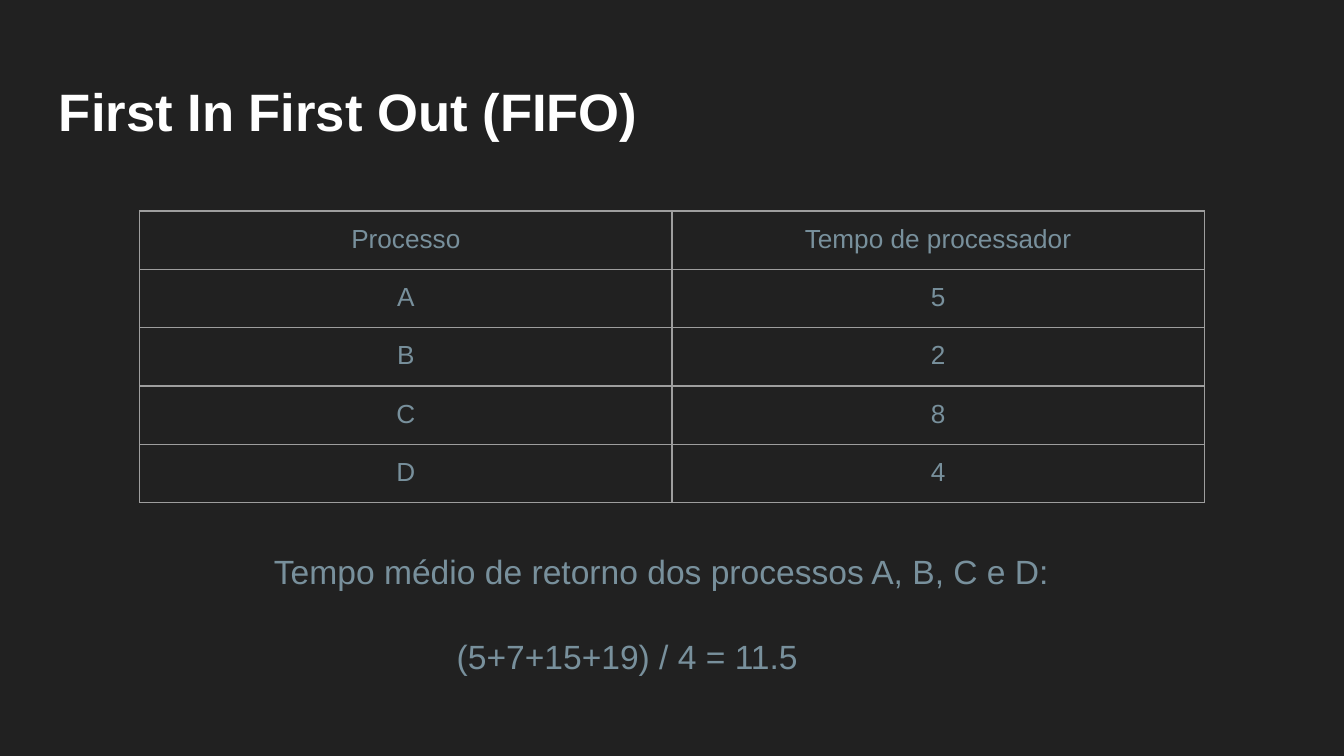
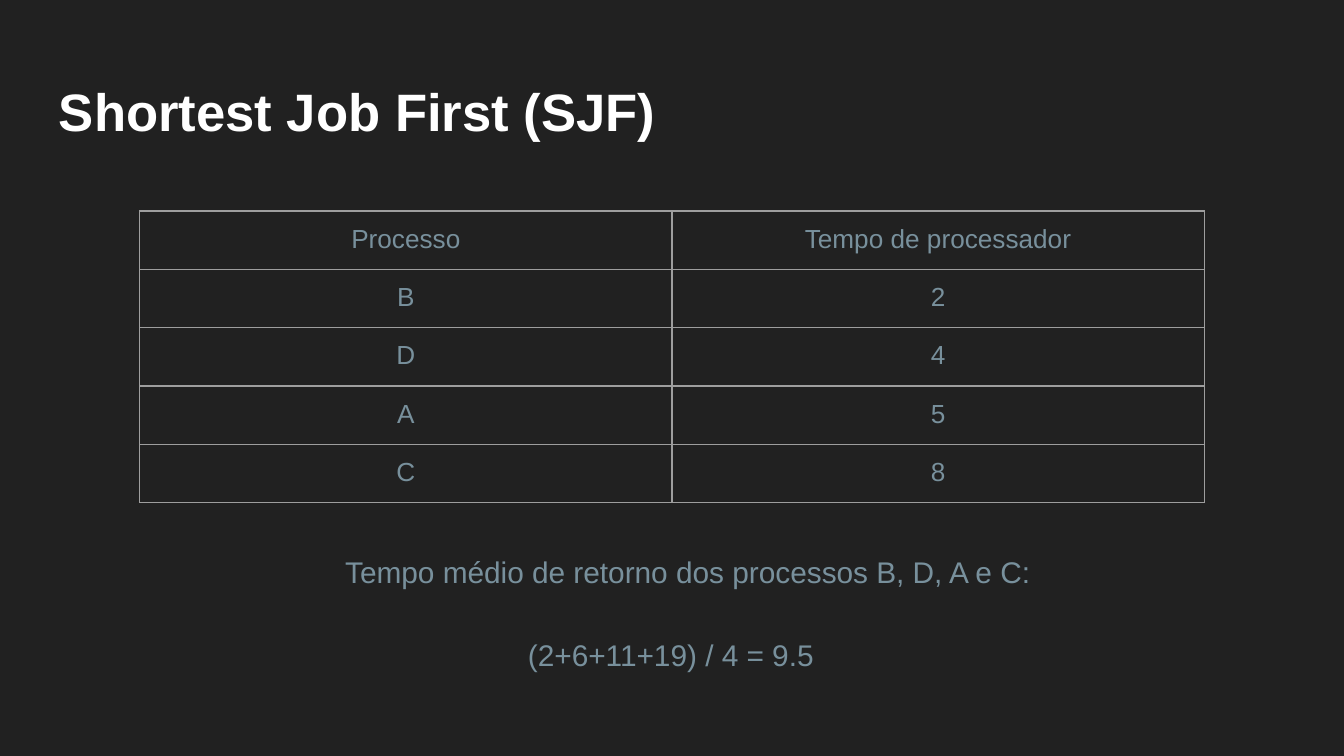
from lxml import etree
from pptx import Presentation
from pptx.dml.color import RGBColor
from pptx.enum.text import MSO_ANCHOR as ANCHOR, PP_ALIGN as ALIGN
from pptx.oxml.ns import qn
from pptx.util import Inches, Pt

BACKGROUND, WHITE, SLATE, BORDER = "212121", "FFFFFF", "78909C", "9E9E9E"
FONT = "Arial"
INSET = 0.1
HEADERS = ("Processo", "Tempo de processador")


def rgb(value):
    return RGBColor.from_string(value)


def add_run(p, text, size, color, bold=False):
    r = p.add_run()
    r.text = text
    r.font.name = FONT
    r.font.size = Pt(size)
    r.font.bold = bold
    r.font.color.rgb = rgb(color)


def set_insets(target):
    """Give a text frame or a table cell equal margins on all sides."""
    target.margin_left = target.margin_right = Inches(INSET)
    target.margin_top = target.margin_bottom = Inches(INSET)


def add_text(s, text, box, size, color=SLATE, bold=False, anchor=ANCHOR.TOP):
    tf = s.shapes.add_textbox(*map(Inches, box)).text_frame
    tf.word_wrap = True
    tf.vertical_anchor = anchor
    set_insets(tf)
    add_run(tf.paragraphs[0], text, size, color, bold)


def set_borders(cell, color, width):
    tc_pr = cell._tc.get_or_add_tcPr()
    for i, side in enumerate(("lnL", "lnR", "lnT", "lnB")):
        ln = etree.Element(qn(f"a:{side}"), w=str(Pt(width)))
        fill = etree.SubElement(ln, qn("a:solidFill"))
        etree.SubElement(fill, qn("a:srgbClr"), val=color)
        tc_pr.insert(i, ln)


def add_process_table(s, processes):
    rows = [HEADERS, *processes]
    col_width, row_height = Inches(3.96), Inches(0.42)
    table = s.shapes.add_table(
        len(rows), len(HEADERS), Inches(1.04), Inches(1.57),
        col_width * len(HEADERS), row_height * len(rows)).table
    table.first_row = table.horz_banding = False
    for i, row in enumerate(rows):
        for j, value in enumerate(row):
            cell = table.cell(i, j)
            cell.fill.background()
            set_insets(cell)
            set_borders(cell, BORDER, 0.75)
            p = cell.text_frame.paragraphs[0]
            p.alignment = ALIGN.CENTER
            add_run(p, str(value), 14, SLATE)


def add_algorithm_slide(prs, title, processes):
    s = prs.slides.add_slide(prs.slide_layouts[6])
    s.background.fill.solid()
    s.background.fill.fore_color.rgb = rgb(BACKGROUND)
    add_text(s, title, (0.34, 0.49, 9.32, 0.63), 28.2, WHITE, bold=True)
    add_process_table(s, processes)
    return s


def add_average(s, label, formula, label_at, formula_at, size):
    add_text(s, label, (*label_at, 7.36, 0.63), size)
    add_text(s, formula, (*formula_at, 3.4, 0.58), size)


def main():
    prs = Presentation()
    prs.slide_width, prs.slide_height = Inches(10), Inches(5.625)

    s = add_algorithm_slide(prs, "First In First Out (FIFO)",
                            [("A", 5), ("B", 2), ("C", 8), ("D", 4)])
    add_average(s, "Tempo médio de retorno dos processos A, B, C e D:",
                "(5+7+15+19) / 4 = 11.5", (1.94, 4), (3.3, 4.63), 18)

    s = add_algorithm_slide(prs, "Shortest Job First (SJF)",
                            [("B", 2), ("D", 4), ("A", 5), ("C", 8)])
    add_average(s, "Tempo médio de retorno dos processos B, D, A e C:",
                "(2+6+11+19) / 4 = 9.5", (2.47, 4.02), (3.83, 4.64), 16)

    prs.save("out.pptx")


if __name__ == "__main__":
    main()
